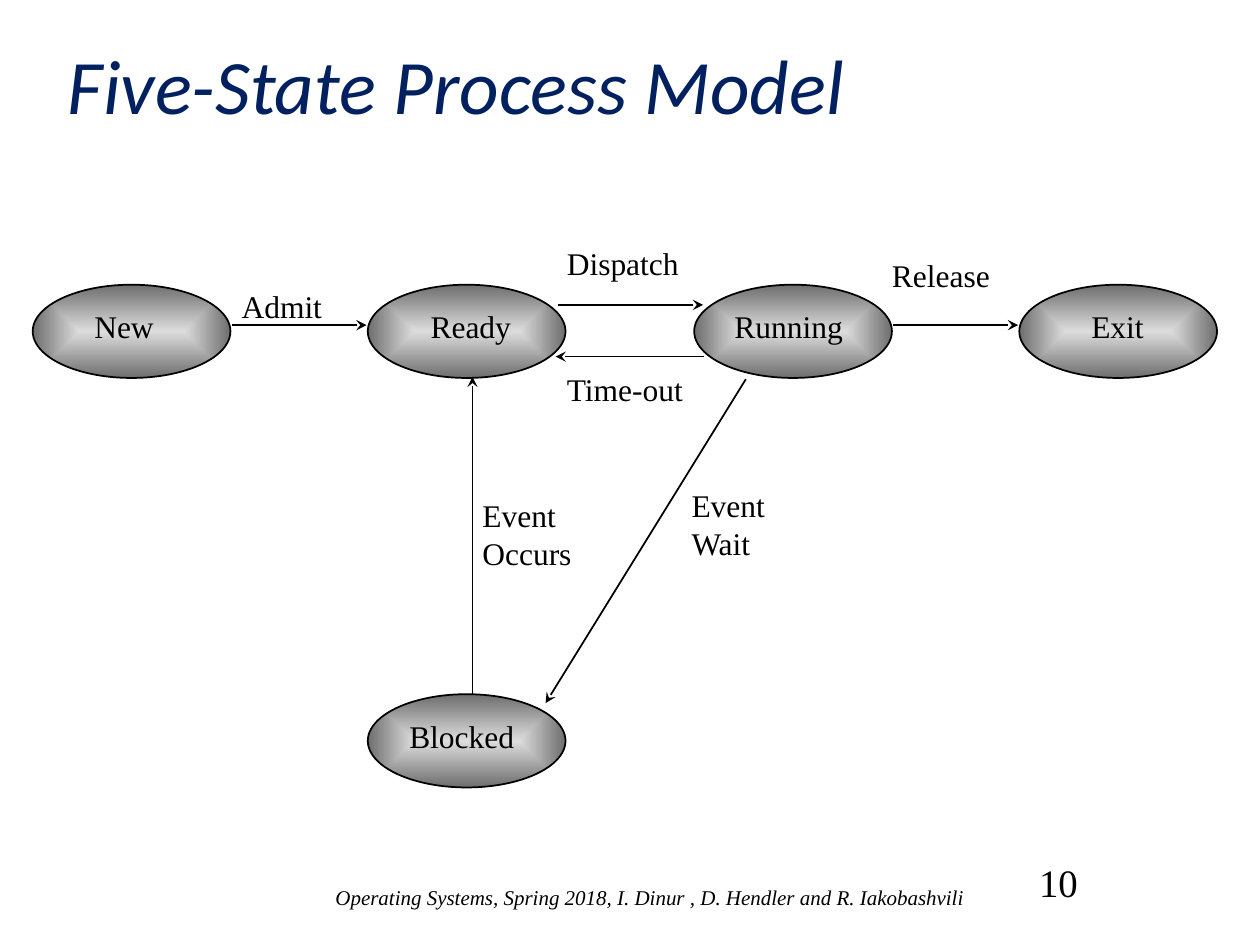
import pptx
import pptx.dml.color
import pptx.enum.shapes
import pptx.enum.text
import pptx.oxml
import pptx.oxml.ns
import pptx.util
from lxml import etree

Pt = pptx.util.Pt
RGBColor = pptx.dml.color.RGBColor
Align = pptx.enum.text.PP_ALIGN
Anchor = pptx.enum.text.MSO_ANCHOR
AutoSize = pptx.enum.text.MSO_AUTO_SIZE
qn = pptx.oxml.ns.qn

BLACK = RGBColor(0x00, 0x00, 0x00)
NAVY = RGBColor(0x00, 0x20, 0x60)
LIGHT_GREY = RGBColor(0xDD, 0xDD, 0xDD)
DARK_GREY = RGBColor(0x6E, 0x6E, 0x6E)

STATE_WIDTH, STATE_HEIGHT = 113, 53.3
TOP_ROW, BOTTOM_ROW = 162.7, 396.7
LABEL_DROP = 9.4
LINE_HEIGHT = 21.6


class Diagram:
    """Holds the text style and the current page."""

    font_name = "Times New Roman"
    font_size = 18

    def __init__(self, page):
        self.page = page

    def text(self, left, top, width, height, lines, size=font_size, name=font_name,
             color=BLACK, italic=False, align=Align.LEFT, anchor=Anchor.TOP,
             wrap=True, spacing=1.0):
        box = self.page.shapes.add_textbox(Pt(left), Pt(top), Pt(width), Pt(height))
        frame = box.text_frame
        frame.word_wrap = wrap
        frame.auto_size = AutoSize.NONE if wrap else AutoSize.SHAPE_TO_FIT_TEXT
        frame.vertical_anchor = anchor
        frame.text = "\n".join(lines)
        for para in frame.paragraphs:
            para.alignment = align
            para.line_spacing = spacing
            para.font.name = name
            para.font.size = Pt(size)
            para.font.italic = italic
            para.font.color.rgb = color

    def label(self, left, top, width, *lines):
        height = 7.2 + LINE_HEIGHT * len(lines)
        self.text(left, top, width, height, lines, wrap=False)

    def state(self, left, top):
        oval = self.page.shapes.add_shape(
            pptx.enum.shapes.MSO_SHAPE.OVAL,
            Pt(left), Pt(top), Pt(STATE_WIDTH), Pt(STATE_HEIGHT))
        oval.shadow.inherit = False
        oval.line.color.rgb = BLACK
        oval.line.width = Pt(1)
        oval.fill.gradient()
        for stop, color in zip(oval.fill.gradient_stops, (LIGHT_GREY, DARK_GREY)):
            stop.color.rgb = color
        # Turn the linear gradient into one that spreads from the centre
        linear = oval.element.spPr.find(".//" + qn("a:lin"))
        spread = etree.Element(qn("a:path"), path="rect")
        etree.SubElement(spread, qn("a:fillToRect"),
                         l="50000", t="50000", r="50000", b="50000")
        linear.getparent().replace(linear, spread)

    def arrow(self, start_x, start_y, end_x, end_y):
        connector = self.page.shapes.add_connector(
            pptx.enum.shapes.MSO_CONNECTOR.STRAIGHT,
            Pt(start_x), Pt(start_y), Pt(end_x), Pt(end_y))
        connector.line.color.rgb = BLACK
        connector.line.width = Pt(1)
        properties = connector.element.spPr
        etree.SubElement(properties.find(qn("a:ln")), qn("a:tailEnd"), type="stealth")
        etree.SubElement(properties, qn("a:effectLst"))


def main():
    deck = pptx.Presentation()
    deck.slide_width, deck.slide_height = Pt(720), Pt(540)
    page = deck.slides.add_slide(deck.slide_layouts[6])
    diagram = Diagram(page)

    # Title
    diagram.text(31.7, 18, 612, 59.8, ["Five-State Process Model"], size=44,
                 name="Calibri", color=NAVY, italic=True, anchor=Anchor.MIDDLE)

    # States: name, left, top, label left, label width
    states = [
        ("New", 18.7, TOP_ROW, 46.8, 49),
        ("Ready", 210.2, TOP_ROW, 239, 61),
        ("Running", 396.7, TOP_ROW, 412.6, 77),
        ("Exit", 582.5, TOP_ROW, 616.5, 46),
        ("Blocked", 210.2, BOTTOM_ROW, 226.8, 75),
    ]
    for name, left, top, label_left, label_width in states:
        diagram.state(left, top)
        diagram.label(label_left, top + LABEL_DROP, label_width, name)

    # Transitions: arrow ends, then label left, top, width and lines
    transitions = [
        ((132.5, 185.8, 209.5, 185.8), (131, 160.6, 61, "Admit")),
        ((270, 396.7, 270, 215.3), (268.6, 280.1, 66, "Event", "Occurs")),
        ((510.5, 185.8, 581.8, 185.8), (502.6, 142.6, 71, "Release")),
        ((319, 174.2, 401.8, 174.2), (316.8, 136.1, 79, "Dispatch")),
        ((402.5, 203.8, 317.5, 203.8), (316.8, 208.1, 82, "Time-out")),
        ((426.2, 216.7, 311.8, 401.8), (388.1, 274.3, 57, "Event", "Wait")),
    ]
    for ends, label in transitions:
        diagram.arrow(*ends)
        diagram.label(*label)

    # Footer and page number
    diagram.text(162.7, 501.8, 417.6, 25.2,
                 ["Operating Systems, Spring 2018, I. Dinur , D. Hendler and R. Iakobashvili"],
                 size=12, italic=True, align=Align.CENTER)
    diagram.text(529.9, 490.3, 149.8, 36, ["10"], size=22.2,
                 align=Align.CENTER, spacing=0.9)

    deck.save("out.pptx")


if __name__ == "__main__":
    main()
